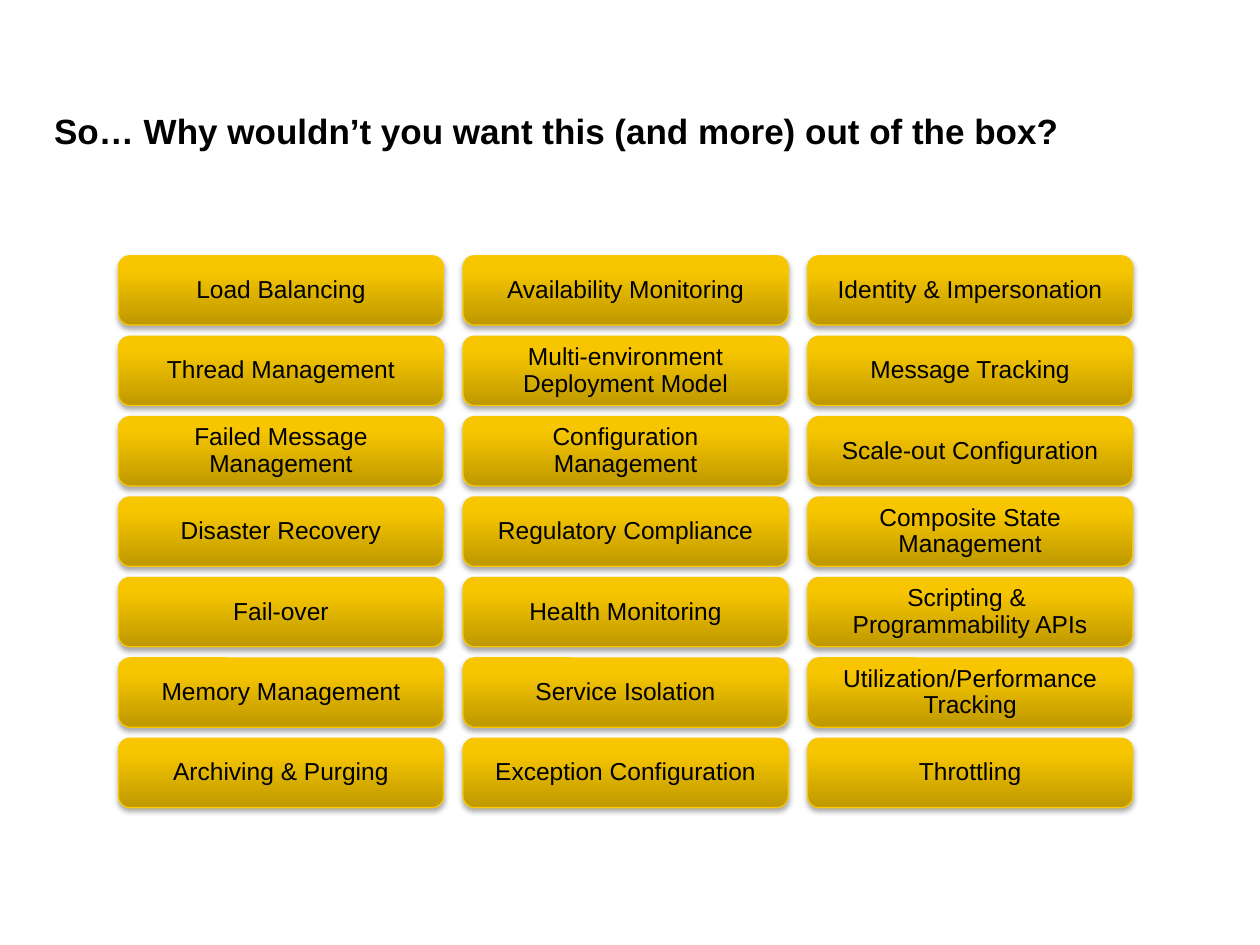
from dataclasses import dataclass

from lxml import etree
from pptx import Presentation
from pptx.dml.color import RGBColor
from pptx.enum.shapes import MSO_SHAPE
from pptx.enum.text import MSO_ANCHOR, PP_ALIGN
from pptx.oxml import parse_xml
from pptx.oxml.ns import nsdecls, qn
from pptx.util import Inches, Pt

ROUNDED = MSO_SHAPE.ROUNDED_RECTANGLE
MIDDLE = MSO_ANCHOR.MIDDLE
LEFT, CENTER = PP_ALIGN.LEFT, PP_ALIGN.CENTER


@dataclass(frozen=True)
class Theme:
    font: str = "Arial"
    ink: str = "000000"
    outline: str = "F9C800"
    gradient: tuple = ((0, "BE9800"), (80, "F7C600"), (100, "F8C700"))
    title_size: int = 20
    button_size: int = 14
    outline_width: float = 0.75


THEME = Theme()
SLIDE_SIZE = (10, 7.5)

# Regions: left, top, width, height in inches
TITLE_BOX = (0.43, 0.84, 9.14, 0.39)
GRID_BOX = (0.94, 2.03, 8.05, 4.38)
BUTTON_SIZE = (2.58, 0.55)

TITLE = "So… Why wouldn’t you want this (and more) out of the box?"
FEATURE_COLUMNS = (
    ("Load Balancing", "Thread Management", "Failed Message Management",
     "Disaster Recovery", "Fail-over", "Memory Management",
     "Archiving & Purging"),
    ("Availability Monitoring", "Multi-environment Deployment Model",
     "Configuration Management", "Regulatory Compliance",
     "Health Monitoring", "Service Isolation", "Exception Configuration"),
    ("Identity & Impersonation", "Message Tracking",
     "Scale-out Configuration", "Composite State Management",
     "Scripting & \vProgrammability APIs",
     "Utilization/Performance Tracking", "Throttling"),
)


def write_text(shape, text, size, bold, paragraph_format):
    frame = shape.text_frame
    frame.word_wrap = True
    frame.vertical_anchor = MIDDLE
    para = frame.paragraphs[0]
    para.text = text
    for name, value in paragraph_format.items():
        setattr(para, name, value)
    for span in para.runs:
        font_format = {"name": THEME.font, "size": Pt(size), "bold": bold}
        for name, value in font_format.items():
            setattr(span.font, name, value)
        span.font.color.rgb = RGBColor.from_string(THEME.ink)
    # Line breaks take the text size too
    for line_break in para._p.findall(qn("a:br")):
        etree.SubElement(line_break, qn("a:rPr"), sz=str(size * 100))


def style_button(button):
    # Gradient from a dark bottom to a bright top
    stops = "".join(
        f'<a:gs pos="{share * 1000}"><a:srgbClr val="{color}"/></a:gs>'
        for share, color in THEME.gradient)
    properties = button._element.spPr
    properties.append(parse_xml(
        f'<a:gradFill {nsdecls("a")} rotWithShape="1"><a:gsLst>{stops}</a:gsLst>'
        '<a:lin ang="16200000" scaled="0"/></a:gradFill>'))
    button.line.color.rgb = RGBColor.from_string(THEME.outline)
    button.line.width = Pt(THEME.outline_width)
    # Soft shadow below
    properties.append(parse_xml(
        f'<a:effectLst {nsdecls("a")}><a:outerShdw blurRad="40000" dist="23000" '
        'dir="5400000" rotWithShape="0"><a:srgbClr val="000000">'
        '<a:alpha val="35000"/></a:srgbClr></a:outerShdw></a:effectLst>'))


def add_title(page, box):
    title = page.shapes.add_textbox(*map(Inches, box))
    for side in ("left", "top", "right", "bottom"):
        setattr(title.text_frame, f"margin_{side}", 0)
    write_text(title, TITLE, THEME.title_size, True, {"alignment": LEFT})


def add_feature_grid(page, box):
    left, top, width, height = box
    button_width, button_height = BUTTON_SIZE
    column_step = (width - button_width) / (len(FEATURE_COLUMNS) - 1)
    for column, features in enumerate(FEATURE_COLUMNS):
        row_step = (height - button_height) / (len(features) - 1)
        for row, feature in enumerate(features):
            place = (left + column * column_step, top + row * row_step,
                     button_width, button_height)
            button = page.shapes.add_shape(ROUNDED, *map(Inches, place))
            style_button(button)
            write_text(button, feature, THEME.button_size, False,
                       {"alignment": CENTER, "line_spacing": 0.9})


def main():
    deck = Presentation()
    deck.slide_width, deck.slide_height = map(Inches, SLIDE_SIZE)
    page = deck.slides.add_slide(deck.slide_layouts[6])
    add_title(page, TITLE_BOX)
    add_feature_grid(page, GRID_BOX)
    deck.save("out.pptx")


if __name__ == "__main__":
    main()
